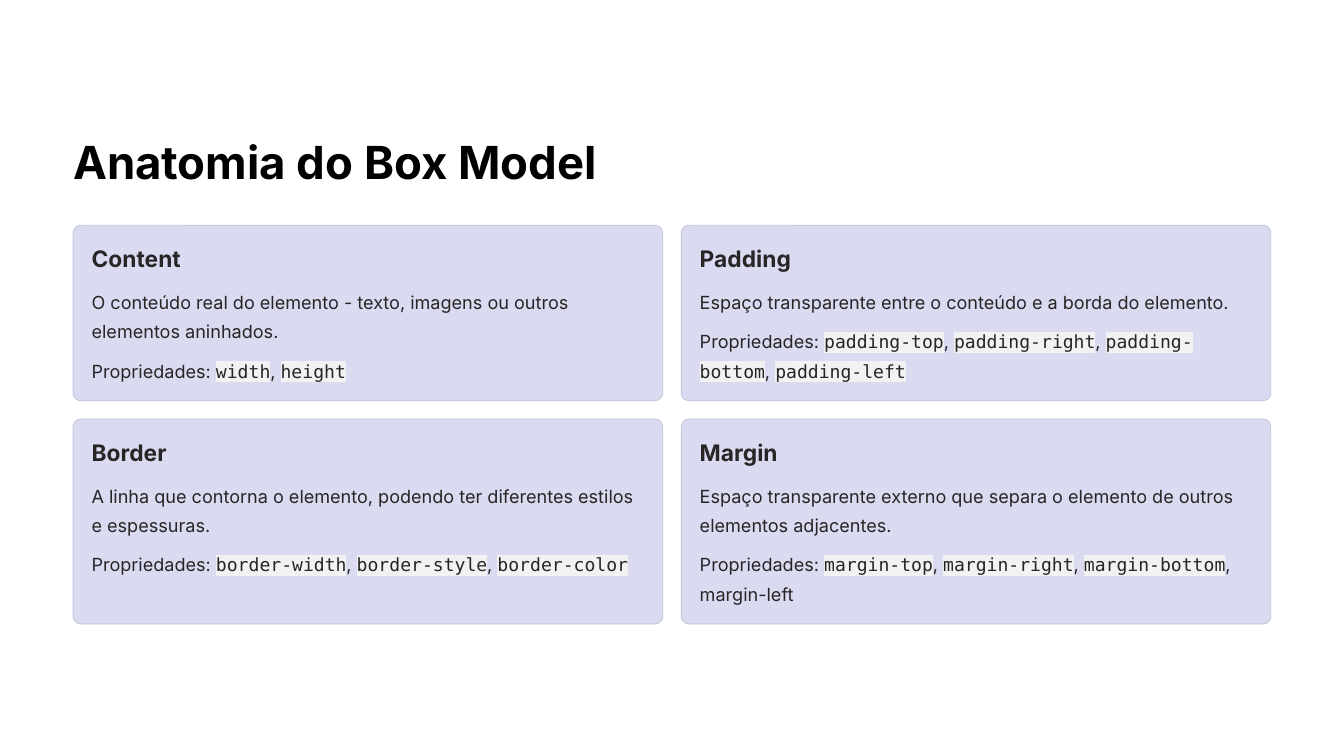
from lxml.etree import SubElement
from pptx import Presentation
from pptx.dml.color import RGBColor
from pptx.enum.shapes import MSO_SHAPE
from pptx.oxml.ns import qn
from pptx.util import Cm, Pt

BLACK = RGBColor(0x00, 0x00, 0x00)
WHITE = RGBColor(0xFF, 0xFF, 0xFF)
INK = RGBColor(0x27, 0x25, 0x25)
LAVENDER = RGBColor(0xDA, 0xDB, 0xF1)
LAVENDER_EDGE = RGBColor(0xC0, 0xC1, 0xD7)
CODE_BACK = RGBColor(0xF2, 0xF2, 0xF2)

TITLE = {"size": Pt(39), "bold": True, "name": "Inter"}
HEADING = {"size": Pt(19.5), "bold": True, "name": "Inter"}
BODY = {"size": Pt(15.5), "name": "Inter"}
CODE = {**BODY, "name": "DejaVu Sans Mono"}

# All lengths below are in centimetres
MARGIN_LEFT = 2.21
CARD_WIDTH = 17.83
COLUMN_STEP = 18.39
ROWS = [(6.81, 5.31), (12.67, 6.2)]  # top and height
CORNER = 0.23
PADDING = 0.56
BODY_LINE = 0.88
BODY_GAP = 0.31

# Heading, description, its lines, properties, their lines
CARDS = [
    ("Content", "O conteúdo real do elemento - texto, imagens ou outros elementos aninhados.", 2,
     "Propriedades: `width`, `height`", 1),
    ("Padding", "Espaço transparente entre o conteúdo e a borda do elemento.", 1,
     "Propriedades: `padding-top`, `padding-right`, `padding-bottom`, `padding-left`", 2),
    ("Border", "A linha que contorna o elemento, podendo ter diferentes estilos e espessuras.", 2,
     "Propriedades: `border-width`, `border-style`, `border-color`", 1),
    ("Margin", "Espaço transparente externo que separa o elemento de outros elementos adjacentes.", 2,
     "Propriedades: `margin-top`, `margin-right`, `margin-bottom`, margin-left", 2),
]


def add_text(text, left, top, width, height, style, spacing, color=INK, wrap=False):
    """Add a text box; words between backticks become highlighted code."""
    frame = slide.shapes.add_textbox(Cm(left), Cm(top), Cm(width), Cm(height)).text_frame
    frame.margin_left = frame.margin_top = frame.margin_right = frame.margin_bottom = 0
    frame.word_wrap = wrap
    paragraph = frame.paragraphs[0]
    paragraph.line_spacing = Pt(spacing)
    for index, part in enumerate(text.split("`")):
        if not part:
            continue
        is_code = index % 2 == 1
        run = paragraph.add_run()
        run.text = part
        for attribute, value in (CODE if is_code else style).items():
            setattr(run.font, attribute, value)
        run.font.color.rgb = color
        if is_code:
            properties = run._r.get_or_add_rPr()
            highlight = SubElement(properties, qn("a:highlight"))
            SubElement(highlight, qn("a:srgbClr"), val=str(CODE_BACK))
            properties.find(qn("a:latin")).addprevious(highlight)


presentation = Presentation()
presentation.slide_width = Cm(40.64)
presentation.slide_height = Cm(22.86)
slide = presentation.slides.add_slide(presentation.slide_layouts[6])
slide.background.fill.solid()
slide.background.fill.fore_color.rgb = WHITE

add_text("Anatomia do Box Model", MARGIN_LEFT, 3.99, 15.88, 1.73, TITLE, 48.5, BLACK)

for index, (heading, description, description_lines, rules, rule_lines) in enumerate(CARDS):
    row, column = divmod(index, 2)
    top, height = ROWS[row]
    left = MARGIN_LEFT + column * COLUMN_STEP

    card = slide.shapes.add_shape(MSO_SHAPE.ROUNDED_RECTANGLE,
                                  Cm(left), Cm(top), Cm(CARD_WIDTH), Cm(height))
    card.adjustments[0] = CORNER / height
    card.shadow.inherit = False
    card.fill.solid()
    card.fill.fore_color.rgb = LAVENDER
    card.line.color.rgb = LAVENDER_EDGE
    card.line.width = Pt(0.6)

    text_left = left + PADDING
    text_width = CARD_WIDTH - 2 * PADDING
    add_text(heading, text_left, top + 0.58, 6.88, 0.86, HEADING, 24)
    text_top = top + 1.78
    for text, lines in [(description, description_lines), (rules, rule_lines)]:
        add_text(text, text_left, text_top, text_width, lines * BODY_LINE, BODY, 25,
                 wrap=lines > 1)
        text_top += lines * BODY_LINE + BODY_GAP

presentation.save("out.pptx")
